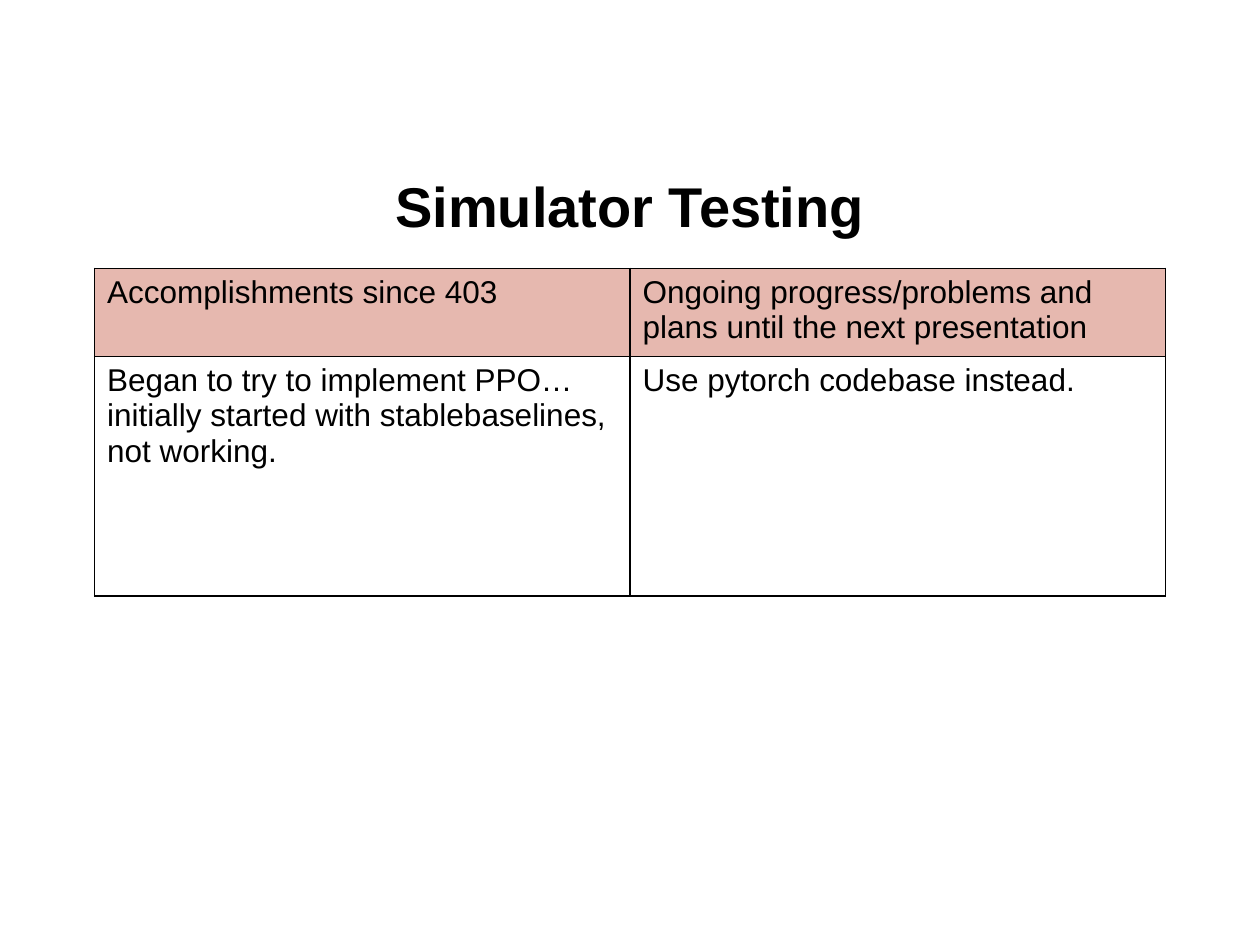
from lxml.etree import SubElement
from pptx import Presentation
from pptx.dml.color import RGBColor
from pptx.enum.text import MSO_ANCHOR as Anchor, PP_ALIGN as Align
from pptx.oxml.ns import qn
from pptx.util import Pt


def color(hex_code):
    return RGBColor.from_string(hex_code)


class SlideWriter:
    font = "Arial"
    ink = "000000"
    header_fill = "E6B8AF"
    title_size = 32
    body_size = 18
    border_width = 1

    def __init__(self, slide):
        self.slide = slide

    def run(self, paragraph, text, size, bold=False):
        run = paragraph.add_run()
        run.text = text
        run.font.name = self.font
        run.font.size = Pt(size)
        run.font.bold = bold
        run.font.color.rgb = color(self.ink)

    def title(self, text, left, top, width, height):
        heading = self.slide.shapes.title
        heading.left, heading.top = Pt(left), Pt(top)
        heading.width, heading.height = Pt(width), Pt(height)
        frame = heading.text_frame
        frame.word_wrap = True
        frame.vertical_anchor = Anchor.MIDDLE
        paragraph = frame.paragraphs[0]
        paragraph.alignment = Align.CENTER
        paragraph.line_spacing = 1.15
        self.run(paragraph, text, self.title_size, bold=True)

    def borders(self, cell):
        properties = cell._tc.get_or_add_tcPr()
        for side in ("lnL", "lnR", "lnT", "lnB"):
            line = SubElement(properties, qn(f"a:{side}"), w=str(Pt(self.border_width)))
            fill = SubElement(line, qn("a:solidFill"))
            SubElement(fill, qn("a:srgbClr"), val=self.ink)

    def cell(self, cell, text, is_header):
        self.borders(cell)
        if is_header:
            cell.fill.solid()
            cell.fill.fore_color.rgb = color(self.header_fill)
        else:
            cell.fill.background()
        self.run(cell.text_frame.paragraphs[0], text, self.body_size)

    def table(self, rows, left, top, column_widths, row_heights):
        table = self.slide.shapes.add_table(
            len(rows), len(column_widths), Pt(left), Pt(top),
            Pt(sum(column_widths)), Pt(sum(row_heights))).table
        table.first_row = table.horz_banding = False
        for column, width in zip(table.columns, column_widths):
            column.width = Pt(width)
        for row_index, (row, height) in enumerate(zip(rows, row_heights)):
            table.rows[row_index].height = Pt(height)
            for column_index, text in enumerate(row):
                self.cell(table.cell(row_index, column_index), text, row_index == 0)


def main():
    deck = Presentation()
    deck.slide_width, deck.slide_height = Pt(720), Pt(540)
    writer = SlideWriter(deck.slides.add_slide(deck.slide_layouts[5]))
    writer.title("Simulator Testing", 36, 82.8, 648, 63.4)
    progress = [
        ("Accomplishments since 403",
         "Ongoing progress/problems and plans until the next presentation"),
        ("Began to try to implement PPO… initially started with stablebaselines, not working.",
         "Use pytorch codebase instead."),
    ]
    writer.table(progress, 54, 153.4, [306, 306], [50.4, 136.8])
    deck.save("out.pptx")


if __name__ == "__main__":
    main()
